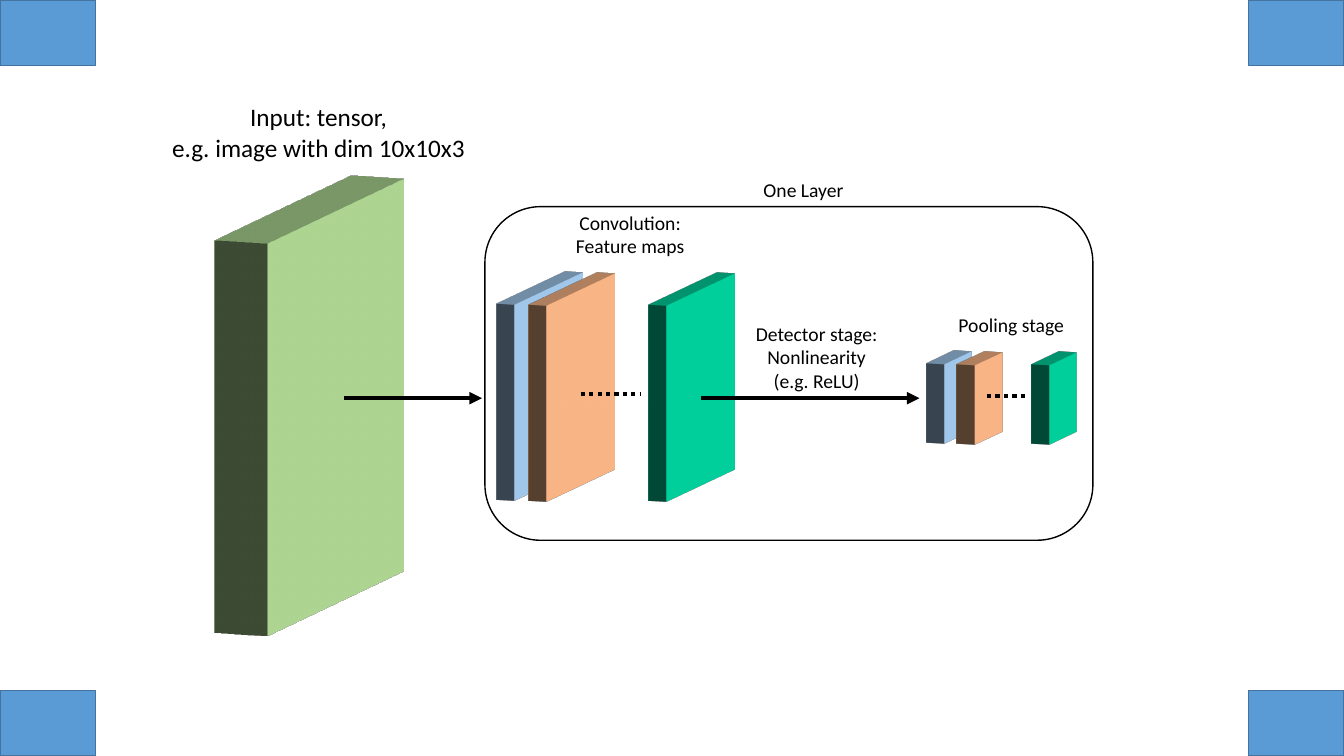
from lxml.etree import SubElement
from pptx import Presentation
from pptx.dml.color import RGBColor
from pptx.enum.dml import MSO_LINE
from pptx.enum.shapes import MSO_CONNECTOR, MSO_SHAPE
from pptx.enum.text import MSO_AUTO_SIZE, PP_ALIGN
from pptx.oxml.ns import qn
from pptx.util import Inches, Pt

# Content
WIDTH, HEIGHT = 13.33, 7.5
THEME = {
    "font": "Calibri", "heading": 18, "label": 14,
    "ink": "000000", "corner": "5B9BD5", "corner_edge": "43739E",
    "input": "A9D18E", "blue": "9DC3E6", "orange": "F4B183", "green": "00CC99",
    "thin": 1, "thick": 3,
}
CORNER_SIZE = (0.95, 0.65)
LAYER_FRAME = (4.81, 2.05, 6.03, 3.31)

# View of the slabs in degrees
VIEW = {"lat": 10, "lon": 290, "rev": 0}

# Slabs: colour, left, top, side of the square, depth
SLABS = [
    ("input", 1.36, 2.07, 3.94, 0.56),
    ("blue", 4.46, 2.85, 1.97, 0.19),
    ("orange", 4.77, 2.86, 1.97, 0.19),
    ("green", 5.96, 2.86, 1.97, 0.19),
    ("blue", 9.11, 3.55, 0.79, 0.19),
    ("orange", 9.41, 3.56, 0.79, 0.19),
    ("green", 10.15, 3.56, 0.79, 0.19),
]

# Lines: kind, start x, end x, y
LINES = [
    ("arrow", 3.41, 4.78, 3.95),
    ("dots", 5.76, 6.35, 3.91),
    ("arrow", 6.95, 9.12, 3.95),
    ("dots", 9.79, 10.18, 3.93),
]

# Labels: left, top, height, type size, paragraphs as lists of lines
LABEL_WIDTH = 3.14
LABELS = [
    (1.59, 0.96, 0.71, "heading", [["Input: tensor,"], ["e.g. image with dim 10x10x3"]]),
    (4.68, 2.04, 0.57, "label", [["Convolution:", "Feature maps"]]),
    (8.46, 3.06, 0.34, "label", [["Pooling stage"]]),
    (6.53, 3.14, 0.81, "label", [["Detector stage:", "Nonlinearity", "(e.g. ReLU)"]]),
    (6.4, 1.72, 0.34, "label", [["One Layer"]]),
]


def color(name):
    return RGBColor.from_string(THEME[name])


def add_box(page, kind, bounds, fill=None, edge=None):
    box = page.shapes.add_shape(kind, *map(Inches, bounds))
    box.shadow.inherit = False
    if fill:
        box.fill.solid()
        box.fill.fore_color.rgb = color(fill)
    else:
        box.fill.background()
    if edge:
        box.line.color.rgb = color(edge)
        box.line.width = Pt(THEME["thin"])
    else:
        box.line.fill.background()
    return box


def add_slab(page, fill, left, top, side, depth):
    slab = add_box(page, MSO_SHAPE.RECTANGLE, (left, top, side, side), fill=fill)
    properties = slab._element.spPr
    scene = SubElement(properties, qn("a:scene3d"))
    camera = SubElement(scene, qn("a:camera"), prst="orthographicFront")
    turn = {axis: str(degrees * 60000) for axis, degrees in VIEW.items()}
    SubElement(camera, qn("a:rot"), **turn)
    SubElement(scene, qn("a:lightRig"), rig="threePt", dir="t")
    SubElement(properties, qn("a:sp3d"), extrusionH=str(Inches(depth)))


def add_line(page, kind, start, end, y):
    line = page.shapes.add_connector(
        MSO_CONNECTOR.STRAIGHT, Inches(start), Inches(y), Inches(end), Inches(y))
    line.line.color.rgb = color("ink")
    line.line.width = Pt(THEME["thick"])
    if kind == "dots":
        line.line.dash_style = MSO_LINE.ROUND_DOT
    else:
        SubElement(line.line._get_or_add_ln(), qn("a:tailEnd"), type="triangle")
    SubElement(line._element.spPr, qn("a:effectLst"))


def add_label(page, left, top, height, size, paragraphs):
    box = page.shapes.add_textbox(*map(Inches, (left, top, LABEL_WIDTH, height)))
    frame = box.text_frame
    for key, value in {"word_wrap": True, "auto_size": MSO_AUTO_SIZE.SHAPE_TO_FIT_TEXT}.items():
        setattr(frame, key, value)
    font_format = {"name": THEME["font"], "size": Pt(THEME[size])}
    for index, lines in enumerate(paragraphs):
        para = frame.add_paragraph() if index else frame.paragraphs[0]
        para.alignment = PP_ALIGN.CENTER
        for number, text in enumerate(lines):
            if number:
                para.add_line_break()
            span = para.add_run()
            span.text = text
            for key, value in font_format.items():
                setattr(span.font, key, value)
            span.font.color.rgb = color("ink")


def main():
    deck = Presentation()
    deck.slide_width, deck.slide_height = Inches(WIDTH), Inches(HEIGHT)
    page = deck.slides.add_slide(deck.slide_layouts[6])

    # Layer frame and corner blocks
    add_box(page, MSO_SHAPE.ROUNDED_RECTANGLE, LAYER_FRAME, edge="ink")
    for left in (0, WIDTH - CORNER_SIZE[0]):
        for top in (0, HEIGHT - CORNER_SIZE[1]):
            add_box(page, MSO_SHAPE.RECTANGLE, (left, top, *CORNER_SIZE),
                    fill="corner", edge="corner_edge")

    # Slabs, arrows and labels
    for slab in SLABS:
        add_slab(page, *slab)
    for line in LINES:
        add_line(page, *line)
    for label in LABELS:
        add_label(page, *label)

    deck.save("out.pptx")


if __name__ == "__main__":
    main()
